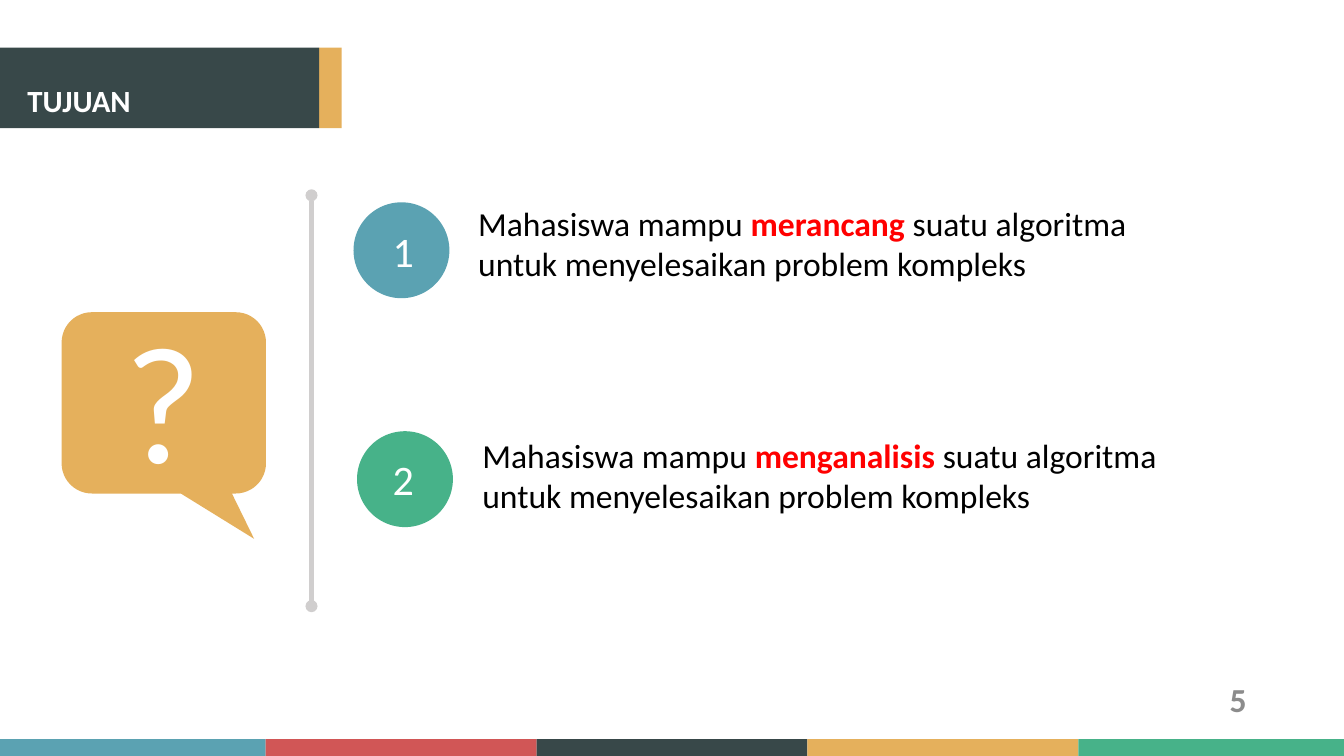
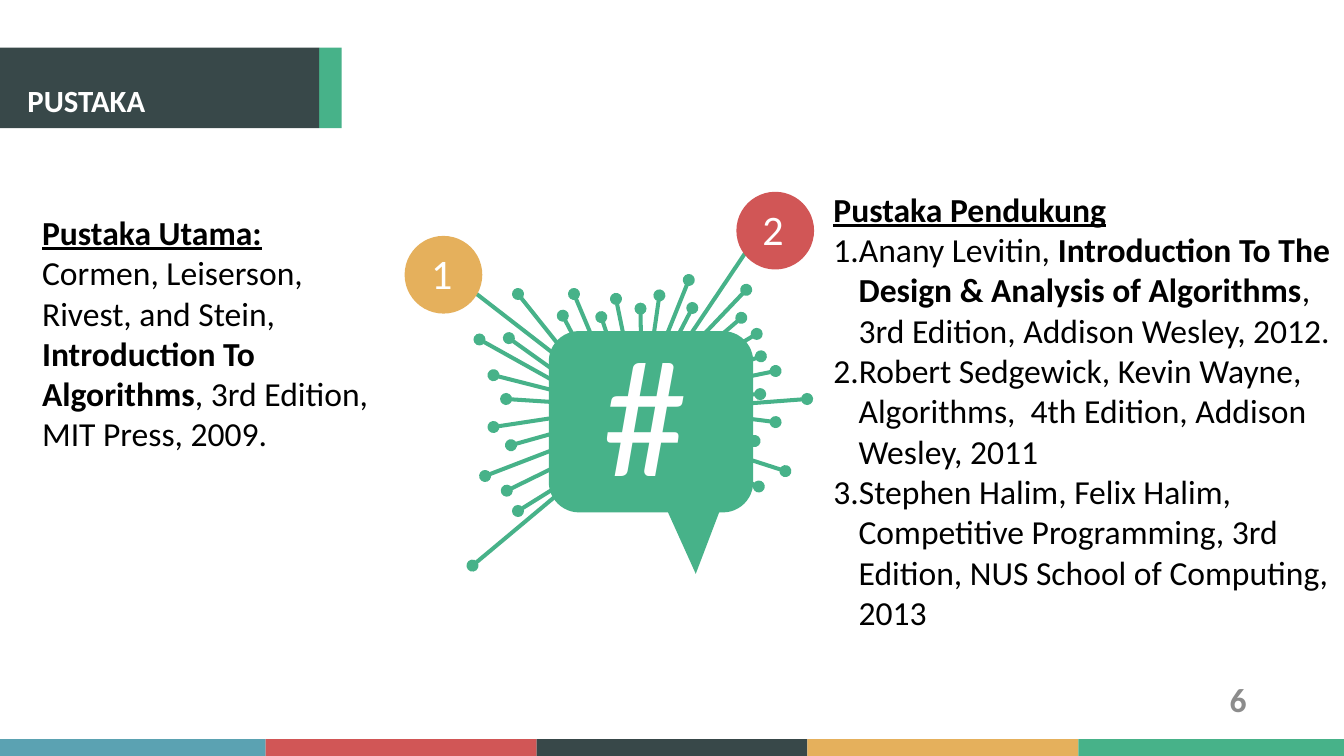
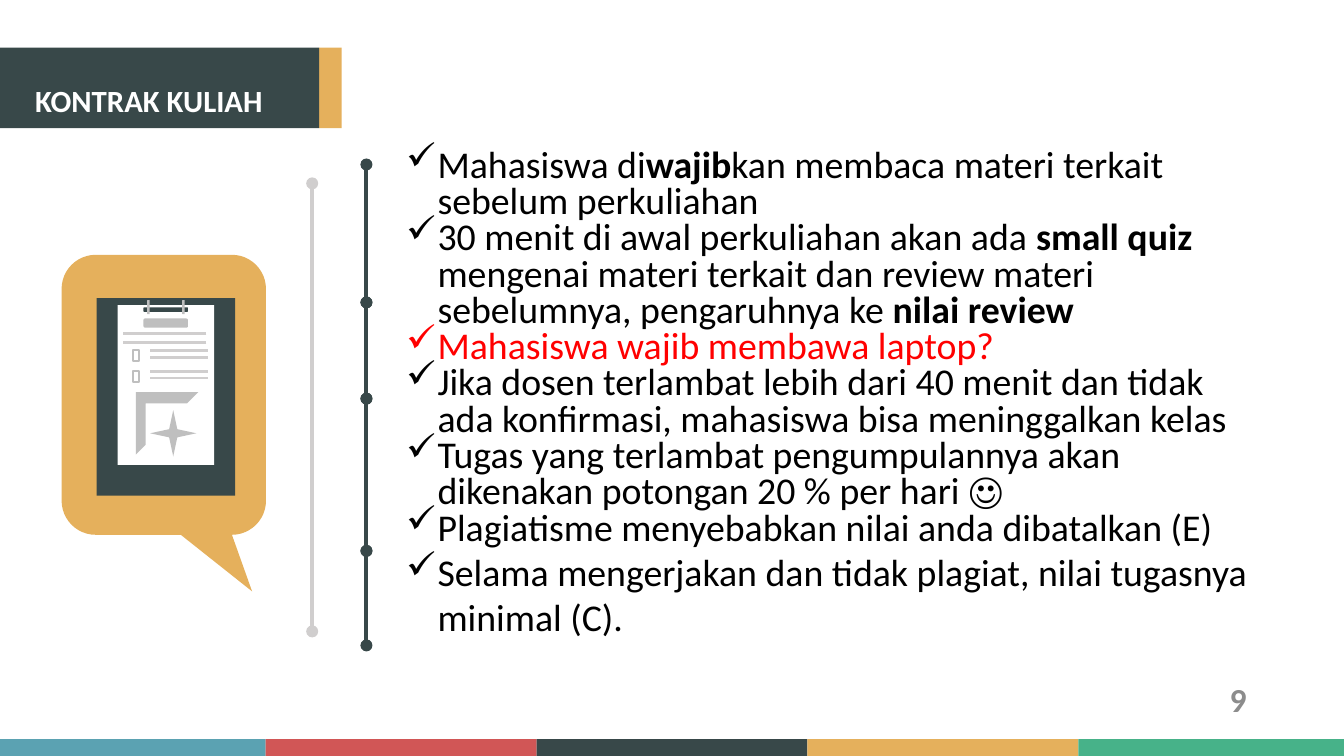
import dataclasses
import itertools
import typing

import lxml.etree
import pptx
import pptx.dml.color
import pptx.enum.shapes
import pptx.enum.text
import pptx.oxml.ns
import pptx.util

Pt = pptx.util.Pt
Kind = pptx.enum.shapes.MSO_SHAPE
Align = pptx.enum.text.PP_ALIGN
Anchor = pptx.enum.text.MSO_ANCHOR
qn = pptx.oxml.ns.qn


@dataclasses.dataclass(frozen=True)
class Theme:
    font: str = "Calibri"
    blue: str = "5BA2B2"
    coral: str = "D15656"
    slate: str = "384849"
    amber: str = "E5B05C"
    green: str = "47B289"
    white: str = "FFFFFF"
    black: str = "000000"
    red: str = "FF0000"
    light: str = "D0CECE"
    grey: str = "BFBFBF"
    page: str = "8C8C8C"
    title_size: float = 44
    body_size: float = 48
    contract_size: float = 54
    badge_size: float = 60
    mark_size: float = 239
    spoke_width: float = 5.75
    rule_width: float = 3.5
    checkbox_width: float = 3


THEME = Theme()


class Box(typing.NamedTuple):
    left: float
    top: float
    width: float
    height: float


class Run(typing.NamedTuple):
    text: str
    bold: bool = False
    color: str = ""
    underline: bool = False


@dataclasses.dataclass(frozen=True)
class Para:
    runs: tuple[Run, ...]
    color: str = THEME.black
    bullet: str = ""
    indent: float = 0
    spacing: float | None = None


@dataclasses.dataclass(frozen=True)
class Block:
    kind: Kind
    box: Box
    fill: str
    outline: str = ""
    rotation: float = 0
    adjustments: tuple[float, ...] = ()


@dataclasses.dataclass(frozen=True)
class Badge:
    number: str
    circle: Box
    fill: str
    label_left: float
    label_top: float


@dataclasses.dataclass(frozen=True)
class Fan:
    origin: tuple[float, float]
    step: tuple[float, float]
    tips: tuple[tuple[float, float], ...]


def rgb(color: str) -> pptx.dml.color.RGBColor:
    return pptx.dml.color.RGBColor.from_string(color)


def points(values: typing.Iterable[float]) -> list[int]:
    return [Pt(value) for value in values]


def draw_block(slide, block: Block) -> None:
    shape = slide.shapes.add_shape(block.kind, *points(block.box))
    shape.shadow.inherit = False
    shape.fill.solid()
    shape.fill.fore_color.rgb = rgb(block.fill)
    shape.rotation = block.rotation
    for position, value in enumerate(block.adjustments):
        shape.adjustments[position] = value
    if block.outline:
        shape.line.color.rgb = rgb(block.outline)
        shape.line.width = Pt(THEME.checkbox_width)
    else:
        shape.line.fill.background()


def draw_line(slide, start, end, color: str, width: float = THEME.spoke_width,
              dotted_ends: bool = True) -> None:
    line = slide.shapes.add_connector(
        pptx.enum.shapes.MSO_CONNECTOR.STRAIGHT, *points((*start, *end)))
    line.line.color.rgb = rgb(color)
    line.line.width = Pt(width)
    properties = line.element.spPr
    if dotted_ends:
        for tag in ("a:headEnd", "a:tailEnd"):
            lxml.etree.SubElement(properties.find(qn("a:ln")), qn(tag), type="oval")
    lxml.etree.SubElement(properties, qn("a:effectLst"))


def add_bullet(paragraph, bullet: str, indent: float) -> None:
    properties = paragraph._p.get_or_add_pPr()
    properties.set("marL", str(Pt(indent)))
    properties.set("indent", str(-Pt(indent)))
    if bullet == "1.":
        lxml.etree.SubElement(properties, qn("a:buAutoNum"), type="arabicPeriod")
    else:
        lxml.etree.SubElement(properties, qn("a:buChar"), char=bullet)


def style(font, size: float, color: str, bold: bool = False) -> None:
    font.name = THEME.font
    font.size = Pt(size)
    font.color.rgb = rgb(color)
    font.bold = bold


def draw_text(slide, box: Box, paras: typing.Sequence[Para], size: float) -> None:
    frame = slide.shapes.add_textbox(*points(box)).text_frame
    frame.word_wrap = True
    for position, para in enumerate(paras):
        paragraph = frame.add_paragraph() if position else frame.paragraphs[0]
        if para.bullet:
            add_bullet(paragraph, para.bullet, para.indent)
        if para.spacing:
            paragraph.line_spacing = para.spacing
        style(paragraph.font, size, para.color)
        for part in para.runs:
            run = paragraph.add_run()
            run.text = part.text
            if part.bold:
                run.font.bold = True
            if part.underline:
                run.font.underline = True
            if part.color:
                run.font.color.rgb = rgb(part.color)


def draw_badge(slide, badge: Badge) -> None:
    draw_block(slide, Block(Kind.OVAL, badge.circle, badge.fill))
    draw_text(slide, Box(badge.label_left, badge.label_top, 81, 80),
              [Para((Run(badge.number),), THEME.white)], THEME.badge_size)


def draw_callout(slide, box: Box, fill: str, tail: tuple[float, float]) -> None:
    draw_block(slide, Block(Kind.ROUNDED_RECTANGULAR_CALLOUT, box, fill,
                            adjustments=(*tail, 0.167)))


def draw_mark(slide, mark: str, left: float, top: float) -> None:
    draw_text(slide, Box(left, top, 157, 297),
              [Para((Run(mark),), THEME.white)], THEME.mark_size)


def start_slide(deck, title: str, accent: str, page: str,
                title_left: float = 32, title_width: float = 407):
    slide = deck.slides.add_slide(deck.slide_layouts[5])
    stripes = ((379.5, THEME.blue), (387, THEME.coral), (387, THEME.slate),
               (387, THEME.amber), (379.5, THEME.green))
    left = 0
    for width, color in stripes:
        draw_block(slide, Block(Kind.RECTANGLE, Box(left, 1056, width, 24), color))
        left += width
    draw_block(slide, Block(Kind.RECTANGLE, Box(456, 68, 32, 115), accent))
    draw_block(slide, Block(Kind.RECTANGLE, Box(0, 68, 456, 115), THEME.slate))

    heading = slide.shapes.title
    heading.element.getparent().append(heading.element)
    heading.left, heading.top, heading.width, heading.height = points(
        (title_left, 113.5, title_width, 60.5))
    frame = heading.text_frame
    frame.text = title
    frame.word_wrap = True
    frame.auto_size = pptx.enum.text.MSO_AUTO_SIZE.NONE
    frame.vertical_anchor = Anchor.TOP
    frame.paragraphs[0].alignment = Align.LEFT
    style(frame.paragraphs[0].font, THEME.title_size, THEME.white, True)

    footer = slide.shapes.add_textbox(*points((1356, 970.5, 432, 57.5))).text_frame
    footer.word_wrap = True
    footer.vertical_anchor = Anchor.MIDDLE
    footer.text = page
    footer.paragraphs[0].alignment = Align.RIGHT
    style(footer.paragraphs[0].font, THEME.body_size, THEME.page, True)
    return slide


def build_goals(deck) -> None:
    slide = start_slide(deck, "TUJUAN", THEME.amber, "5")
    goals = (("merancang ", Box(676, 286.5, 988, 124)),
             ("menganalisis ", Box(682, 618, 1017, 124)))
    for verb, box in goals:
        draw_text(slide, box, [Para((
            Run("Mahasiswa mampu "),
            Run(verb, True, THEME.red),
            Run("suatu algoritma untuk menyelesaikan problem kompleks"),
        ))], THEME.body_size)
    draw_badge(slide, Badge("1", Box(505, 289, 137, 137), THEME.blue, 554, 318))
    draw_badge(slide, Badge("2", Box(510, 616, 137, 137), THEME.green, 554, 644))
    draw_line(slide, (445, 866), (445, 279), THEME.light)
    draw_callout(slide, Box(88, 446, 292, 259), THEME.amber, (0.442, 0.75))
    draw_mark(slide, "?", 171, 420)


FANS = (
    Fan((807, 553), (12, 12), ((685, 485), (705, 536), (723, 570), (705, 610),
                               (730, 636), (693, 680), (724, 701))),
    Fan((986, 546), (-14.4, 12), ((1087, 509), (1108, 530), (1086, 563), (1108, 603),
                                  (1078, 630), (1122, 673), (1084, 695))),
    Fan((935, 522), (-9.24, 12.3), ((984, 400), (942, 422), (915, 441), (880, 427),
                                    (859, 453), (820, 420), (804, 451))),
)

SINGLE_SPOKES = (
    ((909, 593), (1071, 352)), ((827, 533), (668, 410)), ((821, 686), (675, 808)),
    ((829, 556), (727, 483)), ((839, 544), (740, 420)), ((960, 549), (1081, 477)),
    ((948, 538), (1066, 414)), ((935, 544), (989, 440)), ((945, 552), (1059, 454)),
    ((891, 636), (740, 730)), ((994, 582), (1153, 570)),
)


def build_references(deck) -> None:
    slide = start_slide(deck, "PUSTAKA", THEME.green, "6")
    for fan in FANS:
        for position, tip in enumerate(fan.tips):
            root = (fan.origin[0] + position * fan.step[0],
                    fan.origin[1] + position * fan.step[1])
            draw_line(slide, root, tip, THEME.green)
    for root, tip in SINGLE_SPOKES:
        draw_line(slide, root, tip, THEME.green)
    draw_badge(slide, Badge("1", Box(578, 337, 111, 111), THEME.amber, 609, 350))
    draw_badge(slide, Badge("2", Box(1052, 274, 111, 111), THEME.coral, 1082, 287))
    draw_callout(slide, Box(784, 473, 292, 259), THEME.green, (0.219, 0.839))
    draw_mark(slide, "#", 855, 438)

    draw_text(slide, Box(53, 299, 492, 356), [
        Para((Run("Pustaka Utama:", True, underline=True),)),
        Para((Run("Cormen, Leiserson, Rivest, and Stein, "),
              Run("Introduction To Algorithms", True),
              Run(", 3rd Edition, MIT Press, 2009."))),
    ], THEME.body_size)
    supporting = (
        (Run("Anany Levitin, "),
         Run("Introduction To The Design & Analysis of Algorithms", True),
         Run(", 3rd Edition, Addison Wesley, 2012.")),
        (Run("Robert Sedgewick, Kevin Wayne, Algorithms,  4th Edition, "
             "Addison Wesley, 2011"),),
        (Run("Stephen Halim, Felix Halim, Competitive Programming, 3rd Edition, "
             "NUS School of Computing, 2013"),),
    )
    draw_text(slide, Box(1183.5, 266, 736.5, 647), [
        Para((Run("Pustaka Pendukung", True, underline=True),)),
        *(Para(runs, bullet="1.", indent=36) for runs in supporting),
    ], THEME.body_size)


def draw_clipboard(slide) -> None:
    draw_block(slide, Block(Kind.RECTANGLE, Box(138, 426, 198, 282), THEME.slate))
    draw_block(slide, Block(Kind.RECTANGLE, Box(168, 436, 138, 228), THEME.white))
    rules = [(176, 295, 476.5), (176, 295, 489)]
    for top in (500, 529.5):
        rules += [(215, 297, top + 1), (215, 297, top + 10.5)]
        draw_block(slide, Block(Kind.RECTANGLE, Box(189.5, top, 9.5, 16),
                                THEME.white, THEME.grey))
    for left, right, height in rules:
        draw_line(slide, (right, height), (left, height), THEME.light,
                  THEME.rule_width, False)
    clip_parts = (
        Block(Kind.ROUNDED_RECTANGLE, Box(205, 439, 63.5, 6.5), THEME.slate),
        Block(Kind.ROUNDED_RECTANGLE, Box(202, 437, 20, 3.6), THEME.grey, rotation=90),
        Block(Kind.ROUNDED_RECTANGLE, Box(252, 437, 20, 3.6), THEME.grey, rotation=90),
        Block(Kind.ROUNDED_RECTANGLE, Box(205, 455, 63.5, 13), THEME.grey),
        Block(Kind.HALF_FRAME, Box(194, 560, 89.5, 89.5), THEME.grey,
              adjustments=(0.181, 0.159)),
        Block(Kind.STAR_4_POINT, Box(214.5, 586, 66, 66), THEME.grey),
    )
    for part in clip_parts:
        draw_block(slide, part)


def build_contract(deck) -> None:
    slide = start_slide(deck, "KONTRAK KULIAH", THEME.amber, "9", 43, 495)
    rules = (
        (Run("Mahasiswa di"), Run("wajib", True),
         Run("kan membaca materi terkait sebelum perkuliahan")),
        (Run("30 menit di awal perkuliahan akan ada "), Run("small quiz ", True),
         Run("mengenai materi terkait dan review materi sebelumnya, "
             "pengaruhnya ke "), Run("nilai review", True)),
        (Run("Mahasiswa wajib membawa laptop?"),),
        (Run("Jika dosen terlambat lebih dari 40 menit dan tidak ada konfirmasi, "
             "mahasiswa bisa meninggalkan kelas"),),
        (Run("Tugas yang terlambat pengumpulannya akan dikenakan potongan "
             "20 % per hari ☺"),),
        (Run("Plagiatisme menyebabkan nilai anda dibatalkan (E)"),),
        (Run("Selama mengerjakan dan tidak plagiat, nilai tugasnya minimal (C)."),),
    )
    open_question, closing = 2, len(rules) - 1
    draw_text(slide, Box(573, 209.5, 1241, 811), [
        Para(runs, THEME.red if position == open_question else THEME.black,
             "✓", 45, None if position == closing else 0.8)
        for position, runs in enumerate(rules)
    ], THEME.contract_size)
    draw_line(slide, (446, 902), (446, 262), THEME.light)
    for upper, lower in itertools.pairwise((235, 432, 569.5, 787, 922)):
        draw_line(slide, (523.5, upper), (523.5, lower), THEME.slate)
    draw_callout(slide, Box(88, 364, 292, 400), THEME.amber, (0.432, 0.702))
    draw_clipboard(slide)


def main() -> None:
    deck = pptx.Presentation()
    deck.slide_width, deck.slide_height = Pt(1920), Pt(1080)
    build_goals(deck)
    build_references(deck)
    build_contract(deck)
    deck.save("out.pptx")


if __name__ == "__main__":
    main()
